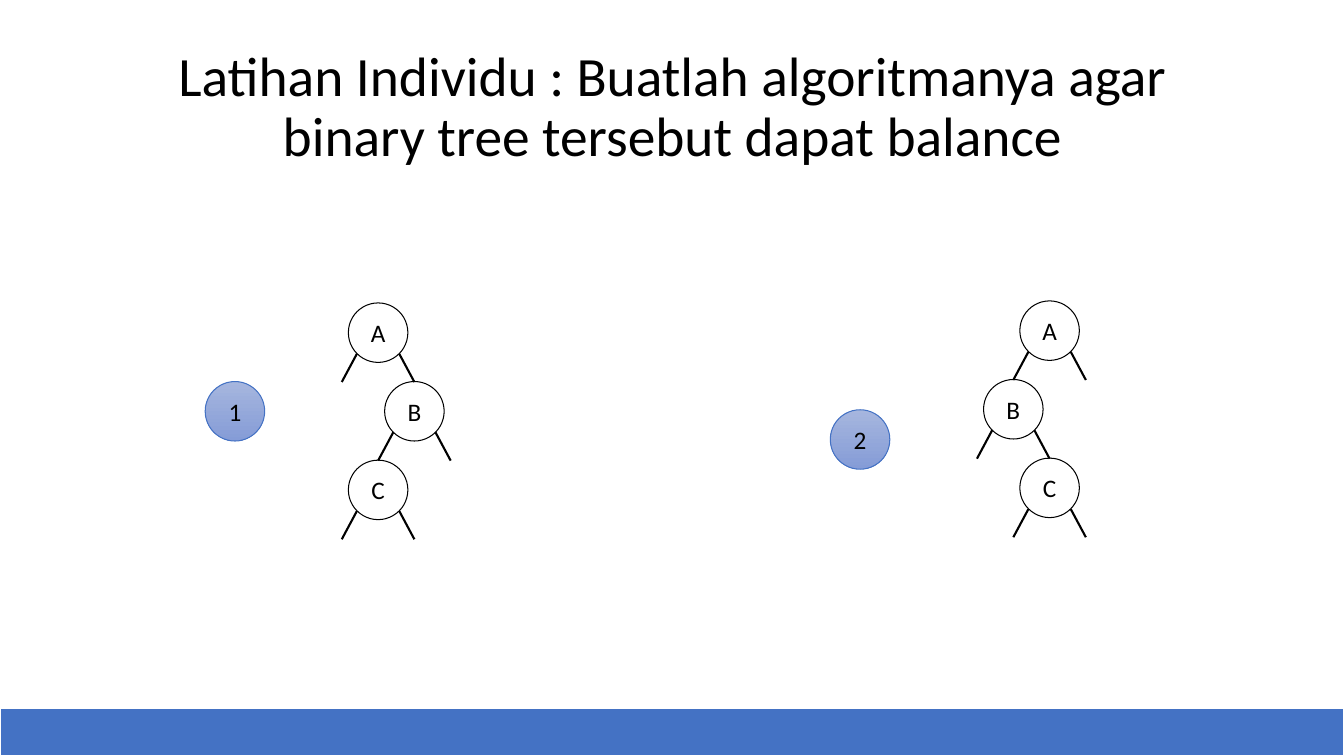
from lxml import etree
from pptx import Presentation
from pptx.dml.color import RGBColor
from pptx.enum.shapes import MSO_CONNECTOR, MSO_SHAPE
from pptx.enum.text import MSO_ANCHOR, PP_ALIGN
from pptx.oxml.ns import qn
from pptx.util import Inches, Pt

OVAL, RECTANGLE = MSO_SHAPE.OVAL, MSO_SHAPE.RECTANGLE
STRAIGHT = MSO_CONNECTOR.STRAIGHT
CENTER, MIDDLE = PP_ALIGN.CENTER, MSO_ANCHOR.MIDDLE

COLORS = {"black": "000000", "white": "FFFFFF", "blue": "4472C4",
          "badge_top": "A6B6DE", "badge_bottom": "859CD7"}
FONT = "Calibri"
DIAMETER = 0.59
LEVEL_STEP, SIDE_STEP = 0.78, 0.36    # between a parent and its child
BRANCH_START = 0.21                   # from the node centre, both ways
BRANCH_END = 0.49                     # downwards from the node centre


def color(name):
    return RGBColor.from_string(COLORS[name])


class TreeSlide:
    def __init__(self, presentation):
        self.slide = presentation.slides.add_slide(presentation.slide_layouts[6])
        self.shapes = self.slide.shapes

    def label(self, shape, text, size, line_spacing=1.0):
        frame = shape.text_frame
        frame_format = {"word_wrap": True, "vertical_anchor": MIDDLE}
        for name, value in frame_format.items():
            setattr(frame, name, value)
        paragraph = frame.paragraphs[0]
        paragraph.alignment = CENTER
        paragraph.line_spacing = line_spacing
        run = paragraph.add_run()
        run.text = text
        for name, value in {"name": FONT, "size": Pt(size)}.items():
            setattr(run.font, name, value)
        run.font.color.rgb = color("black")

    def title(self, text, left, top, width, height):
        box = self.shapes.add_textbox(
            Inches(left), Inches(top), Inches(width), Inches(height))
        self.label(box, text, 39.6, line_spacing=0.9)

    def outline(self, shape, line_color, width):
        shape.line.color.rgb = color(line_color)
        shape.line.width = Pt(width)

    def bar(self, left, top, width, height):
        shape = self.shapes.add_shape(
            RECTANGLE, Inches(left), Inches(top), Inches(width), Inches(height))
        shape.shadow.inherit = False
        shape.fill.solid()
        shape.fill.fore_color.rgb = color("blue")
        self.outline(shape, "white", 1.5)

    def circle(self, shapes, text, x, y, line_color):
        shape = shapes.add_shape(
            OVAL, Inches(x - DIAMETER / 2), Inches(y - DIAMETER / 2),
            Inches(DIAMETER), Inches(DIAMETER))
        shape.shadow.inherit = False
        shape.fill.background()
        self.outline(shape, line_color, 0.75)
        self.label(shape, text, 18)
        return shape

    def badge(self, text, x, y):
        fill = self.circle(self.shapes, text, x, y, "blue").fill
        fill.gradient()
        fill.gradient_angle = 270
        for stop, name in zip(fill.gradient_stops, ("badge_top", "badge_bottom")):
            stop.color.rgb = color(name)

    def branch(self, shapes, x, y, side):
        line = shapes.add_connector(
            STRAIGHT, Inches(x + side * SIDE_STEP), Inches(y + BRANCH_END),
            Inches(x + side * BRANCH_START), Inches(y + BRANCH_START))
        self.outline(line, "black", 1.5)
        etree.SubElement(line._element.spPr, qn("a:effectLst"))

    def tree(self, x, y, side):
        """Draw A, its child B on the given side, and C back below A."""
        shapes = self.shapes.add_group_shape().shapes
        for level, (name, shift) in enumerate(zip("ABC", (0, side, 0))):
            node_x = x + shift * SIDE_STEP
            node_y = y + level * LEVEL_STEP
            self.circle(shapes, name, node_x, node_y, "black")
            for branch_side in (-1, 1):
                self.branch(shapes, node_x, node_y, branch_side)


def main():
    presentation = Presentation()
    presentation.slide_width = Inches(13.33)
    presentation.slide_height = Inches(7.5)
    page = TreeSlide(presentation)

    # Title and footer bar
    page.title("Latihan Individu : Buatlah algoritmanya agar "
               "binary tree tersebut dapat balance", 0.92, 0.4, 11.5, 1.35)
    page.bar(0, 7.02, 13.33, 0.48)

    # Unbalanced trees: right-left, then left-right
    page.tree(3.75, 3.3, side=1)
    page.tree(10.41, 3.28, side=-1)

    # Exercise numbers
    page.badge("1", 2.33, 4.08)
    page.badge("2", 8.53, 4.36)

    presentation.save("out.pptx")


if __name__ == "__main__":
    main()
